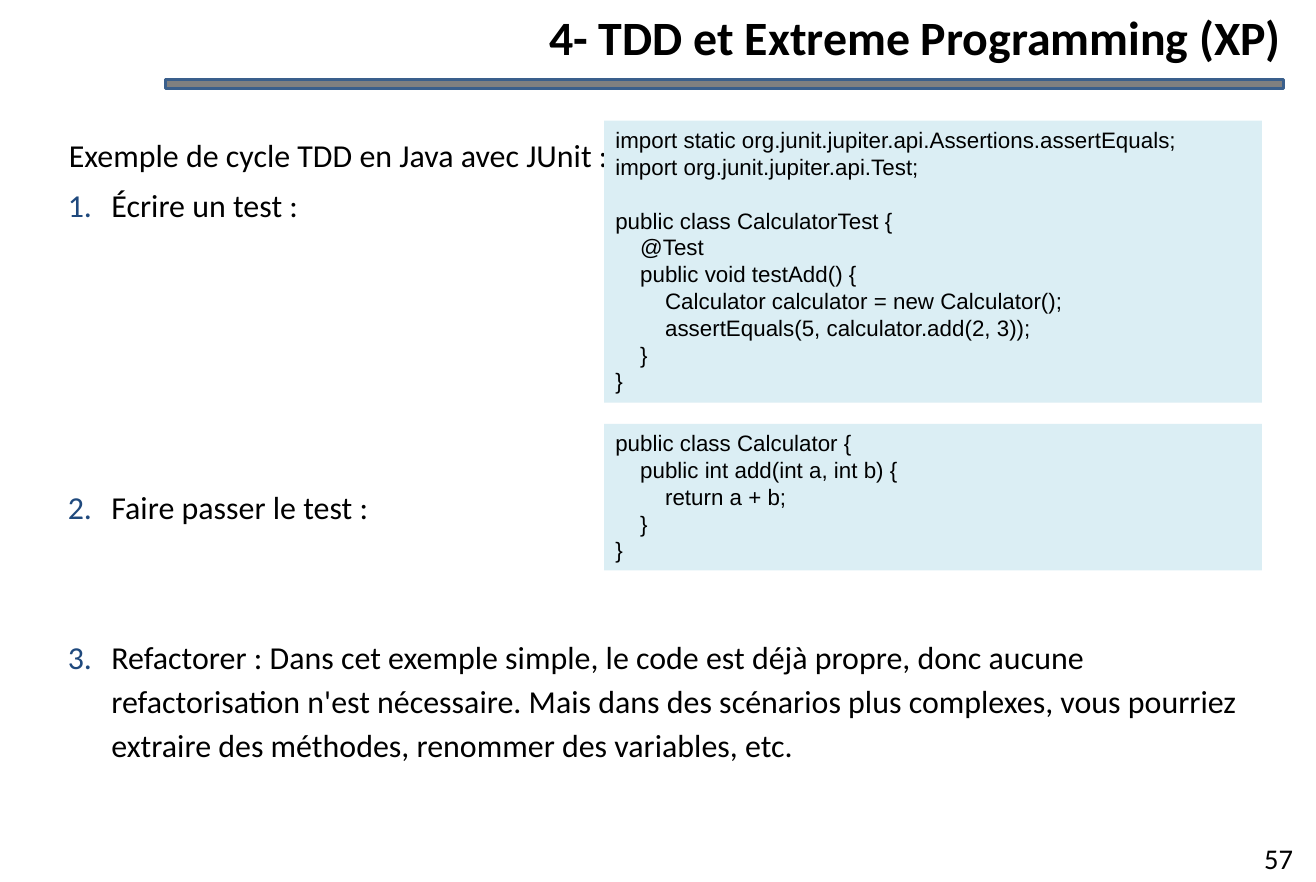
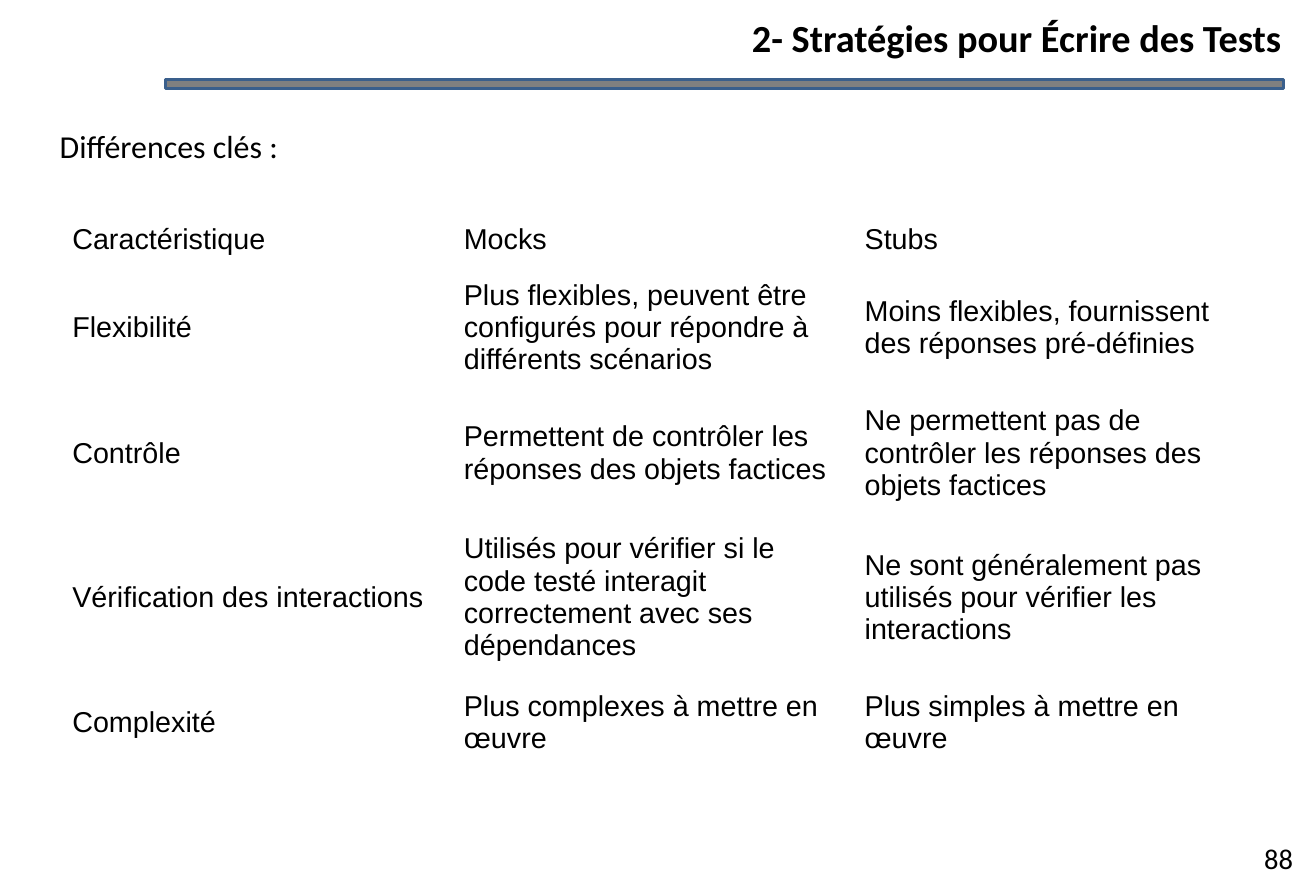
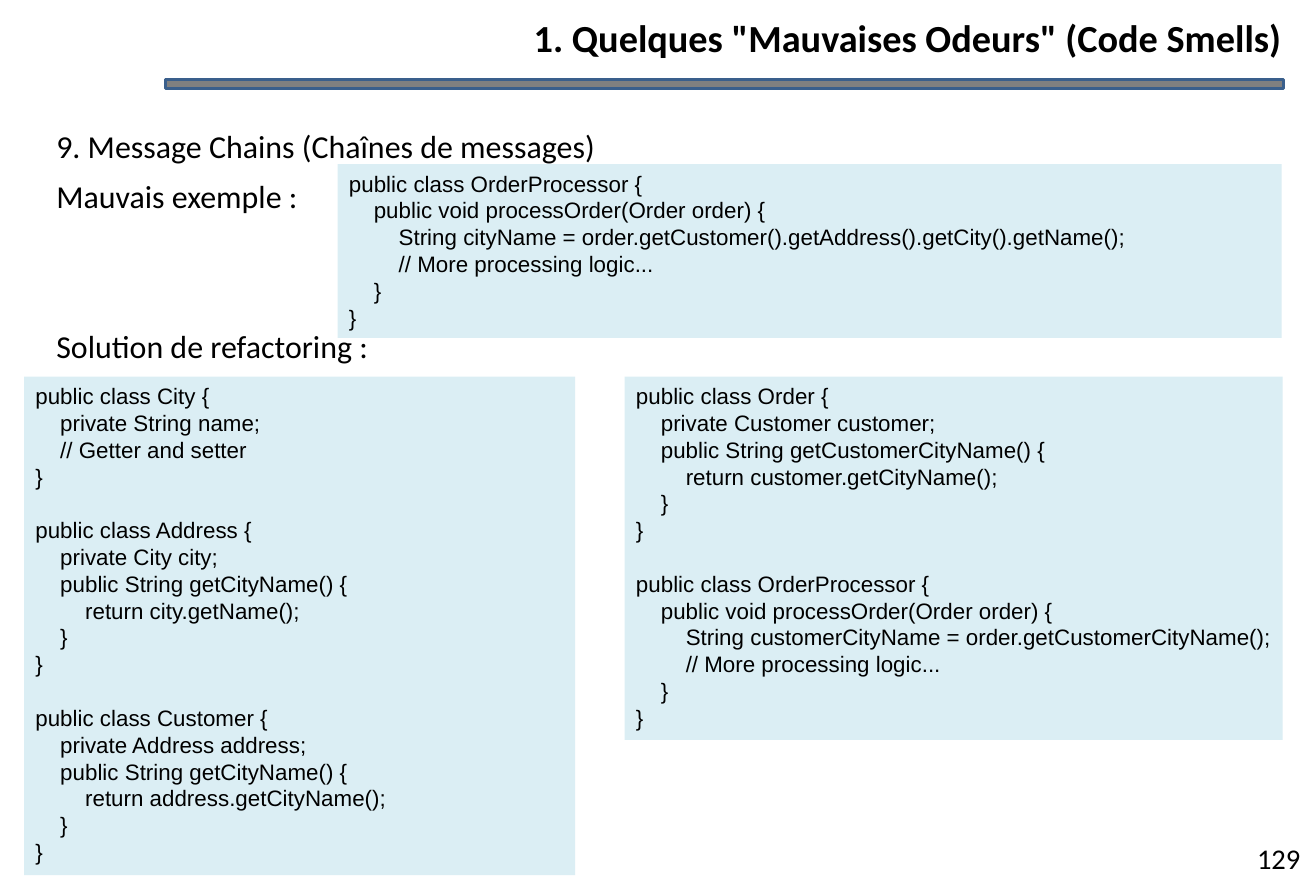
from dataclasses import dataclass
from typing import Any

from lxml.etree import SubElement
from pptx import Presentation
from pptx.dml.color import RGBColor
from pptx.enum.shapes import MSO_SHAPE as Preset
from pptx.enum.text import MSO_ANCHOR as Anchor, MSO_AUTO_SIZE as AutoSize, PP_ALIGN as Align
from pptx.oxml.ns import qn
from pptx.util import Inches, Pt

# Grid of square cells
COLUMNS, ROWS, CELL = 191, 128, 0.06

# Row pitch in points of the body list, and its gap before a paragraph
BODY_PITCH, BODY_GAP = 31.6, 3.6


def grid(*cells):
    return [Inches(cell * CELL) for cell in cells]


def color(hex_string):
    return RGBColor.from_string(hex_string)


@dataclass
class Deck:
    presentation: Any
    slide: Any = None
    ink: str = "000000"
    rule_fill: str = "808080"
    rule_line: str = "3A5F8C"
    number_color: str = "1F497D"
    code_fill: str = "DBEEF4"
    text_font: str = "Calibri"
    code_font: str = "Arial"
    code_pitch: float = 16.8
    code_row: float = 16.96
    code_indent: float = 15.6

    def new_slide(self, title, title_size, page):
        """Start a slide with the shared title, rule and page number."""
        layout = self.presentation.slide_layouts[1]
        self.slide = self.presentation.slides.add_slide(layout)
        self.rectangle(24, 11.5, 162.33, 1.33, self.rule_fill, self.rule_line)

        shape = self.slide.shapes.title
        self.place(shape, 32.5, 1.17, 153.5, 8.33)
        frame = self.prepare(shape, Anchor.MIDDLE)
        frame.margin_left = frame.margin_right = frame.margin_top = frame.margin_bottom = 0
        self.add_text(frame.paragraphs[0], title, title_size, bold=True, align=Align.RIGHT)

        shape = self.slide.shapes.add_textbox(*grid(180.17, 121.17, 10.83, 6.83))
        frame = self.prepare(shape)
        self.add_text(frame.paragraphs[0], page, 17.9, align=Align.CENTER)

    def place(self, shape, left, top, width, height):
        shape.left, shape.top, shape.width, shape.height = grid(left, top, width, height)

    def prepare(self, shape, anchor=Anchor.TOP):
        frame = shape.text_frame
        frame.word_wrap = True
        frame.auto_size = AutoSize.NONE
        frame.vertical_anchor = anchor
        return frame

    def add_text(self, paragraph, text, size, font=None, bold=False, align=Align.LEFT):
        paragraph.alignment = align
        run = paragraph.add_run()
        run.text = text
        run.font.name = font or self.text_font
        run.font.size = Pt(size)
        run.font.bold = bold
        run.font.color.rgb = color(self.ink)

    def paragraphs(self, frame, items):
        """Pair each item with its own paragraph."""
        for index, item in enumerate(items):
            yield (frame.add_paragraph() if index else frame.paragraphs[0]), item

    def rectangle(self, left, top, width, height, fill, line=None):
        shape = self.slide.shapes.add_shape(Preset.RECTANGLE, *grid(left, top, width, height))
        shape.shadow.inherit = False
        shape.fill.solid()
        shape.fill.fore_color.rgb = color(fill)
        if line:
            shape.line.color.rgb = color(line)
            shape.line.width = Pt(2)
        else:
            shape.line.fill.background()
        return shape

    def body(self, left, top, width, height, items):
        """Fill the body with (text, numbered, rows left free above) items."""
        shape = self.slide.placeholders[1]
        self.place(shape, left, top, width, height)
        frame = self.prepare(shape)
        for paragraph, (text, numbered, free_rows) in self.paragraphs(frame, items):
            self.add_text(paragraph, text, 20)
            paragraph.line_spacing = 1.15
            paragraph.space_before = Pt(BODY_GAP + free_rows * BODY_PITCH)
            self.bullet(paragraph, numbered)

    def bullet(self, paragraph, numbered):
        properties = paragraph._p.get_or_add_pPr()
        margin, indent = (0.57, -0.38) if numbered else (0.2, 0)
        properties.set("marL", str(Inches(margin)))
        properties.set("indent", str(Inches(indent)))
        if not numbered:
            SubElement(properties, qn("a:buNone"))
            return
        bullet_color = SubElement(properties, qn("a:buClr"))
        SubElement(bullet_color, qn("a:srgbClr"), val=self.number_color)
        SubElement(properties, qn("a:buFont"), typeface=self.text_font)
        SubElement(properties, qn("a:buAutoNum"), type="arabicPeriod")

    def code(self, left, top, width, source):
        """Draw a code panel as tall as its lines; blank lines become spacing."""
        lines = source.strip().splitlines()
        height = (0.1 + len(lines) * self.code_row / 72) / CELL
        shape = self.rectangle(left, top, width, height, self.code_fill)
        frame = self.prepare(shape)
        frame.margin_right = 0
        numbered_lines = [(i, line) for i, line in enumerate(lines) if line]
        for paragraph, (i, line) in self.paragraphs(frame, numbered_lines):
            text = line.lstrip()
            level = (len(line) - len(text)) // 4
            self.add_text(paragraph, text, 14, self.code_font)
            paragraph.line_spacing = Pt(self.code_pitch)
            after_blank = i > 0 and not lines[i - 1]
            paragraph.space_before = Pt(self.code_pitch if after_blank else 0)
            paragraph._p.get_or_add_pPr().set("marL", str(Pt(level * self.code_indent)))

    def table(self, left, top, widths, heights, rows):
        frame = self.slide.shapes.add_table(
            len(heights), len(widths), *grid(left, top, sum(widths), sum(heights)))
        table = frame.table
        table.first_row = table.horz_banding = False
        for column, width in zip(table.columns, grid(*widths)):
            column.width = width
        for row, height, texts in zip(table.rows, grid(*heights), rows):
            row.height = height
            for cell, text in zip(row.cells, texts):
                cell.fill.background()
                cell.vertical_anchor = Anchor.MIDDLE
                self.add_text(cell.text_frame.paragraphs[0], text, 18, self.code_font)


# Code samples
CALCULATOR_TEST = """
import static org.junit.jupiter.api.Assertions.assertEquals;
import org.junit.jupiter.api.Test;

public class CalculatorTest {
    @Test
    public void testAdd() {
        Calculator calculator = new Calculator();
        assertEquals(5, calculator.add(2, 3));
    }
}
"""

CALCULATOR = """
public class Calculator {
    public int add(int a, int b) {
        return a + b;
    }
}
"""

CHAINED_PROCESSOR = """
public class OrderProcessor {
    public void processOrder(Order order) {
        String cityName = order.getCustomer().getAddress().getCity().getName();
        // More processing logic...
    }
}
"""

CITY_TO_CUSTOMER = """
public class City {
    private String name;
    // Getter and setter
}

public class Address {
    private City city;
    public String getCityName() {
        return city.getName();
    }
}

public class Customer {
    private Address address;
    public String getCityName() {
        return address.getCityName();
    }
}
"""

ORDER_AND_PROCESSOR = """
public class Order {
    private Customer customer;
    public String getCustomerCityName() {
        return customer.getCityName();
    }
}

public class OrderProcessor {
    public void processOrder(Order order) {
        String customerCityName = order.getCustomerCityName();
        // More processing logic...
    }
}
"""

MOCKS_AND_STUBS = [
    ("Caractéristique", "Mocks", "Stubs"),
    ("Flexibilité",
     "Plus flexibles, peuvent être configurés pour répondre à différents scénarios",
     "Moins flexibles, fournissent des réponses pré-définies"),
    ("Contrôle",
     "Permettent de contrôler les réponses des objets factices",
     "Ne permettent pas de contrôler les réponses des objets factices"),
    ("Vérification des interactions",
     "Utilisés pour vérifier si le code testé interagit correctement avec ses dépendances",
     "Ne sont généralement pas utilisés pour vérifier les interactions"),
    ("Complexité",
     "Plus complexes à mettre en œuvre",
     "Plus simples à mettre en œuvre"),
]


def main():
    presentation = Presentation()
    presentation.slide_width, presentation.slide_height = grid(COLUMNS, ROWS)
    deck = Deck(presentation)

    # TDD cycle
    deck.new_slide("4- TDD et Extreme Programming (XP)", 30, "57")
    deck.body(5, 18, 181.17, 96.33, [
        ("Exemple de cycle TDD en Java avec JUnit :", False, 0),
        ("Écrire un test :", True, 0),
        ("Faire passer le test :", True, 5),
        ("Refactorer : Dans cet exemple simple, le code est déjà propre, donc aucune "
         "refactorisation n'est nécessaire. Mais dans des scénarios plus complexes, "
         "vous pourriez extraire des méthodes, renommer des variables, etc.", True, 2),
    ])
    deck.code(87.67, 17.5, 95.5, CALCULATOR_TEST)
    deck.code(87.67, 61.5, 95.5, CALCULATOR)

    # Mocks and stubs
    deck.new_slide("2- Stratégies pour Écrire des Tests", 24, "88")
    deck.body(3.67, 16.67, 183.67, 7.67, [("Différences clés :", False, 0)])
    deck.table(8.83, 31.17, [56.83, 58.17, 58.17],
               [7.33, 18.17, 18.17, 23.67, 12.67], MOCKS_AND_STUBS)

    # Message chains
    deck.new_slide('1. Quelques "Mauvaises Odeurs" (Code Smells)', 24, "129")
    deck.body(3.17, 16.67, 183.67, 38, [
        ("9. Message Chains (Chaînes de messages)", False, 0),
        ("Mauvais exemple :", False, 0),
        ("Solution de refactoring :", False, 2),
    ])
    deck.code(49, 23.83, 137, CHAINED_PROCESSOR)
    deck.code(3.5, 54.67, 80, CITY_TO_CUSTOMER)
    deck.code(90.67, 54.67, 95.5, ORDER_AND_PROCESSOR)

    presentation.save("out.pptx")


if __name__ == "__main__":
    main()
